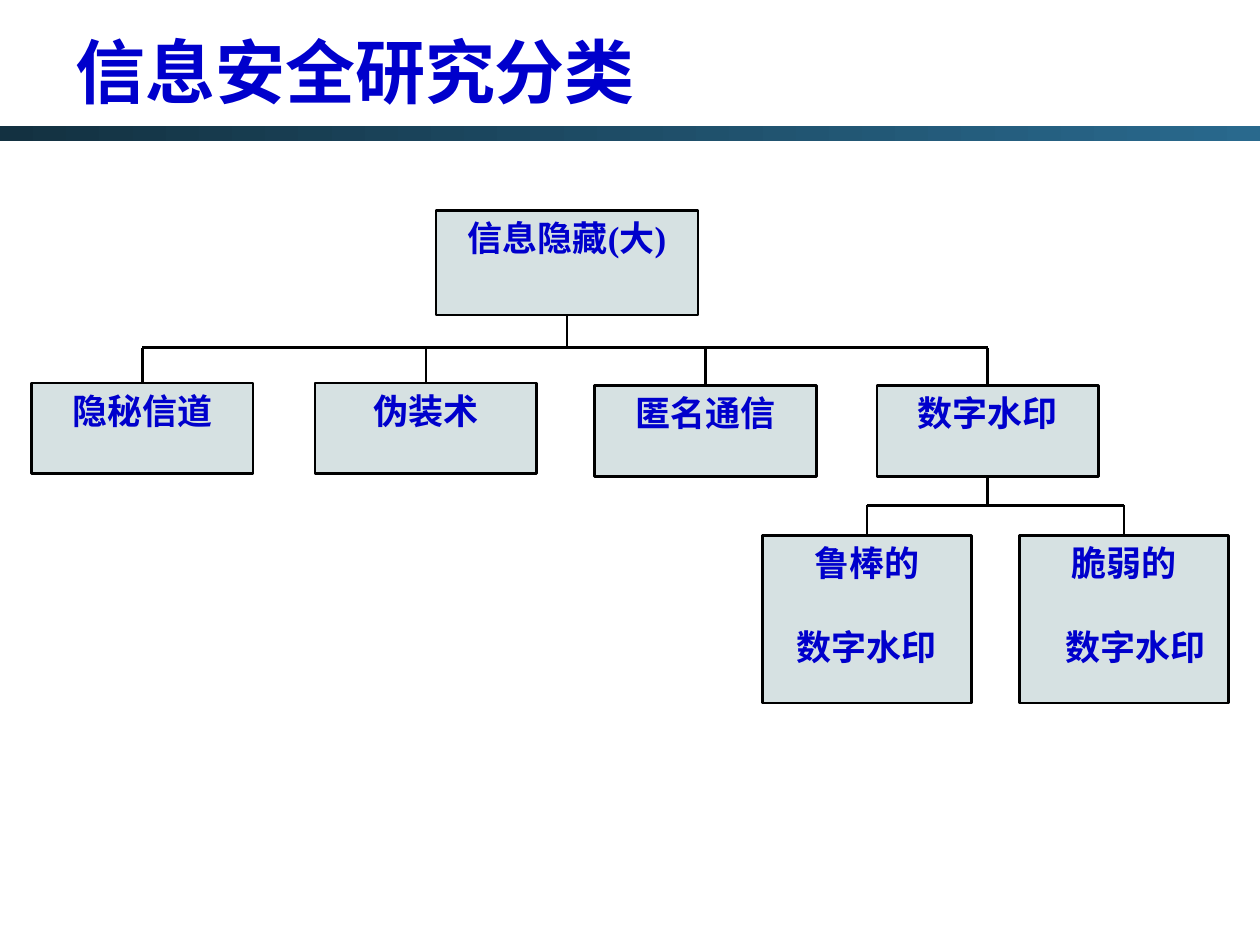
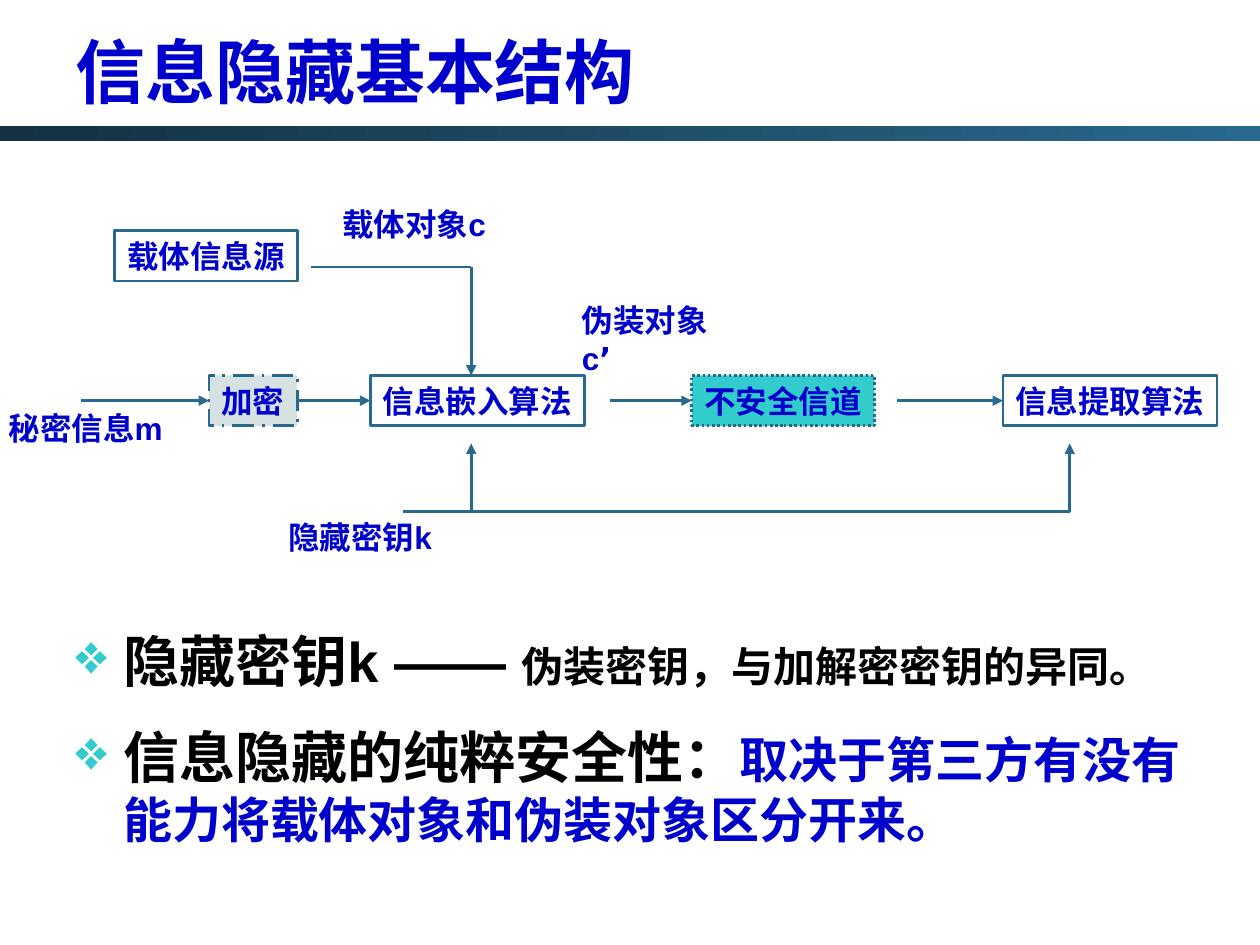
from pptx import Presentation
from pptx.dml.color import RGBColor
from pptx.enum.dml import MSO_LINE
from pptx.enum.shapes import MSO_CONNECTOR, MSO_SHAPE
from pptx.enum.text import MSO_ANCHOR, PP_ALIGN
from pptx.oxml.ns import qn
from pptx.util import Inches, Pt
from lxml import etree

RECT = MSO_SHAPE.RECTANGLE
STRAIGHT = MSO_CONNECTOR.STRAIGHT
CENTER, LEFT = PP_ALIGN.CENTER, PP_ALIGN.LEFT
MIDDLE, TOP_ANCHOR = MSO_ANCHOR.MIDDLE, MSO_ANCHOR.TOP
DASH_DOT, DOTTED = MSO_LINE.LONG_DASH_DOT, MSO_LINE.ROUND_DOT
TOP, LEFT_SIDE, BOTTOM, RIGHT_SIDE = range(4)

WIDTH, HEIGHT = Inches(10), Inches(7.5)
COLUMNS, ROWS = 100, 75
COLORS = {
    "text": "0000CC", "black": "000000", "box": "D6E1E2", "channel": "33CCCC",
    "flow": "29698D", "band_dark": "133141",
}
EAST_ASIAN_FONT = "DejaVu Sans"
TITLE = {"name": "DejaVu Sans", "size": Pt(40), "bold": True}
TREE = {"name": "Times New Roman", "size": Pt(20), "bold": True}
FLOW = {"name": "Arial", "size": Pt(18), "bold": True}
LINE_WIDTH = Pt(1.5)


def rgb(name):
    return RGBColor.from_string(COLORS[name])


def col(count):
    return round(WIDTH * count / COLUMNS)


def row(count):
    return round(HEIGHT * count / ROWS)


def place(left, top, width, height):
    return col(left), row(top), col(width), row(height)


def add_run(paragraph, text, style, color="text"):
    run = paragraph.add_run()
    run.text = text
    for attribute, value in style.items():
        setattr(run.font, attribute, value)
    run.font.color.rgb = rgb(color)
    east_asian = etree.SubElement(run.font._element, qn("a:ea"))
    east_asian.set("typeface", EAST_ASIAN_FONT)


def write(shape, text, style, align=LEFT, anchor=TOP_ANCHOR, wrap=True):
    frame = shape.text_frame
    frame.word_wrap = wrap
    frame.vertical_anchor = anchor
    paragraph = frame.paragraphs[0]
    paragraph.alignment = align
    add_run(paragraph, text, style)


def add_label(slide, text, cell, style=FLOW, **layout):
    write(slide.shapes.add_textbox(*place(*cell)), text, style, **layout)


def add_box(slide, cell, fill=None, line="black", dash=None):
    box = slide.shapes.add_shape(RECT, *place(*cell))
    box.shadow.inherit = False
    if fill:
        box.fill.solid()
        box.fill.fore_color.rgb = rgb(fill)
    else:
        box.fill.background()
    box.line.color.rgb = rgb(line)
    box.line.width = LINE_WIDTH
    if dash:
        box.line.dash_style = dash
    return box


def add_line(slide, start, end, color="black", arrow=False):
    """Draw a line; each end is a (column, row) pair or a (box, side) pair."""
    points = [(0, 0) if hasattr(p[0], "text_frame") else (col(p[0]), row(p[1]))
              for p in (start, end)]
    line = slide.shapes.add_connector(STRAIGHT, *points[0], *points[1])
    for target, join in ((start, line.begin_connect), (end, line.end_connect)):
        if hasattr(target[0], "text_frame"):
            join(*target)
    line.line.color.rgb = rgb(color)
    line.line.width = LINE_WIDTH
    if arrow:
        etree.SubElement(line.line._get_or_add_ln(), qn("a:tailEnd"), type="triangle")
    etree.SubElement(line._element.spPr, qn("a:effectLst"))


def add_titled_slide(prs, title):
    slide = prs.slides.add_slide(prs.slide_layouts[6])
    band = slide.shapes.add_shape(RECT, *place(0, 10, COLUMNS, 1.2))
    band.shadow.inherit = False
    band.line.fill.background()
    band.fill.gradient()
    band.fill.gradient_angle = 0
    for stop, color in zip(band.fill.gradient_stops, ("band_dark", "flow")):
        stop.color.rgb = rgb(color)
    add_label(slide, title, (5, 2.5, 80.8, 6.2), TITLE, anchor=MIDDLE)
    return slide


def add_tree_box(slide, text, cell):
    box = add_box(slide, cell, "box")
    write(box, text, TREE, CENTER)
    return box


def add_branches(slide, parent, parent_col, children, bus_row):
    """Join a parent to its children, given as (box, middle column) pairs."""
    add_line(slide, (parent, BOTTOM), (parent_col, bus_row))
    add_line(slide, (children[0][1], bus_row), (children[-1][1], bus_row))
    for child, middle in children:
        add_line(slide, (middle, bus_row), (child, TOP))


def add_classification(prs):
    slide = add_titled_slide(prs, "信息安全研究分类")
    root = add_tree_box(slide, "信息隐藏(大)", (34.6, 16.7, 20.8, 8.3))
    width = 17.6
    fields = []
    for text, left, top in (("隐秘信道", 2.5, 30.4), ("伪装术", 25, 30.4),
                            ("匿名通信", 47.2, 30.6), ("数字水印", 69.6, 30.6)):
        box = add_tree_box(slide, text, (left, top, width, 7.2))
        fields.append((box, left + width / 2))
    add_branches(slide, root, 45, fields, 27.6)

    width = 16.6
    watermarks = []
    for text, left, indent in (("鲁棒的", 60.5, 0), ("脆弱的", 80.9, 1.9)):
        box = add_tree_box(slide, text, (left, 42.5, width, 13.3))
        second = box.text_frame.add_paragraph()
        second.alignment = CENTER
        second.space_before = Pt(24)
        second._p.get_or_add_pPr().set("marL", str(col(indent)))
        add_run(second, "数字水印", TREE)
        watermarks.append((box, left + width / 2))
    add_branches(slide, *fields[-1], watermarks, 40.1)


def add_flow_box(slide, text, left, top, width, **look):
    box = add_box(slide, (left, top, width, 4), line="flow", **look)
    write(box, text, FLOW, wrap=False)
    return box


def add_bullet(paragraph, pieces):
    properties = paragraph._p.get_or_add_pPr()
    properties.set("marL", str(col(3.8)))
    properties.set("indent", str(-col(3.8)))
    color = etree.SubElement(properties, qn("a:buClr"))
    etree.SubElement(color, qn("a:srgbClr"), val=COLORS["channel"])
    etree.SubElement(properties, qn("a:buChar"), char="❖")
    for text, size, text_color in pieces:
        add_run(paragraph, text, FLOW | {"size": Pt(size)}, text_color)


def add_structure(prs):
    slide = add_titled_slide(prs, "信息隐藏基本结构")
    flow_top, flow_row = 29.8, 31.8
    add_flow_box(slide, "载体信息源", 9.1, 18.3, 14.5)
    embedding = add_flow_box(slide, "信息嵌入算法", 29.4, flow_top, 17)
    encryption = add_flow_box(slide, "加密", 16.6, flow_top, 7, fill="box", dash=DASH_DOT)
    channel = add_flow_box(slide, "不安全信道", 54.9, flow_top, 14.5,
                           fill="channel", dash=DOTTED)
    extraction = add_flow_box(slide, "信息提取算法", 79.6, flow_top, 17)

    for start, target in (((6.4, flow_row), encryption),
                          ((encryption, RIGHT_SIDE), embedding),
                          ((48.4, flow_row), channel),
                          ((71.2, flow_row), extraction)):
        add_line(slide, start, (target, LEFT_SIDE), "flow", arrow=True)

    carrier_row, key_row, embed_col, extract_col = 21.2, 40.6, 37.4, 84.9
    add_line(slide, (24.7, carrier_row), (embed_col, carrier_row), "flow")
    add_line(slide, (embed_col, carrier_row), (embed_col, flow_top), "flow", arrow=True)
    add_line(slide, (32, key_row), (extract_col, key_row), "flow")
    for key_col in (embed_col, extract_col):
        add_line(slide, (key_col, key_row), (key_col, 35.2), "flow", arrow=True)

    for text, left, top, width in (("秘密信息m", -0.3, 32, 14.8),
                                   ("载体对象c", 26.2, 15.8, 14),
                                   ("隐藏密钥k", 21.9, 40.6, 17.4)):
        add_label(slide, text, (left, top, width, 4))
    add_label(slide, "伪装对象c’", (45.2, 23.4, 13, 7))

    notes = slide.shapes.add_textbox(*place(5, 49.2, 90, 20)).text_frame
    notes.word_wrap = True
    add_bullet(notes.paragraphs[0], [("隐藏密钥k —— ", 32, "black"),
                                     ("伪装密钥，与加解密密钥的异同。", 24, "black")])
    security = notes.add_paragraph()
    add_bullet(security, [
        ("信息隐藏的纯粹安全性：", 32, "black"),
        ("取决于第三方有没有能力将载体对象和伪装对象区分开来。", 28, "text")])
    notes.paragraphs[0].space_after = Pt(6)
    security.space_before = Pt(10.5)


def main():
    prs = Presentation()
    prs.slide_width, prs.slide_height = WIDTH, HEIGHT
    add_classification(prs)
    add_structure(prs)
    prs.save("out.pptx")


if __name__ == "__main__":
    main()
